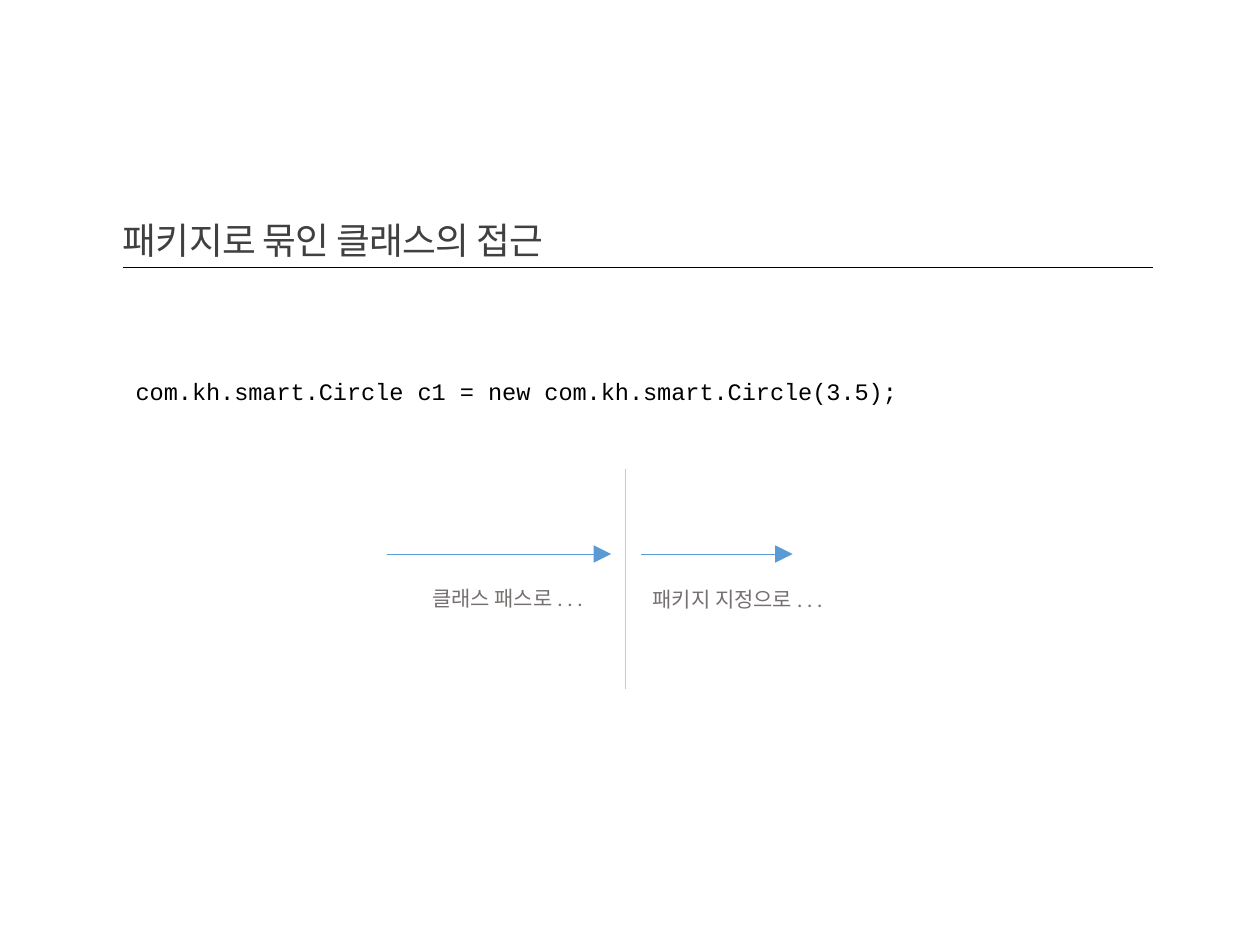
from lxml import etree
from pptx import Presentation
from pptx.dml.color import RGBColor
from pptx.enum import shapes, text
from pptx.oxml.ns import qn
from pptx.util import Pt

COLORS = {
    "title": "404040",
    "code": "000000",
    "rule": "000000",
    "divider": "C9C9C9",
    "arrow": "5B9BD5",
    "label": "767171",
}


class SlideBuilder:
    body_font = "Calibri"
    code_font = "Courier New"
    line_width = 0.5

    def __init__(self, slide):
        self.slide = slide

    def text_box(self, content, box, size, color, font=body_font, spacing=None,
                 anchor=text.MSO_ANCHOR.TOP, margins=(7.2, 3.6), tracking=None):
        """Margins are (sides, top and bottom); tracking is in hundredths of a point."""
        shape = self.slide.shapes.add_textbox(*map(Pt, box))
        frame = shape.text_frame
        frame.word_wrap = True
        frame.vertical_anchor = anchor
        frame.margin_left = frame.margin_right = Pt(margins[0])
        frame.margin_top = frame.margin_bottom = Pt(margins[1])
        paragraph = frame.paragraphs[0]
        if spacing:
            paragraph.line_spacing = spacing
        run = paragraph.add_run()
        run.text = content
        run.font.name = font
        run.font.size = Pt(size)
        run.font.color.rgb = RGBColor.from_string(COLORS[color])
        if tracking:
            run.font._element.set("spc", str(tracking))

    def line(self, start, end, color):
        connector = self.slide.shapes.add_connector(
            shapes.MSO_CONNECTOR.STRAIGHT, *map(Pt, (*start, *end)))
        connector.line.width = Pt(self.line_width)
        connector.line.color.rgb = RGBColor.from_string(COLORS[color])
        etree.SubElement(connector._element.spPr, qn("a:effectLst"))
        return connector

    def arrow(self, start, end):
        connector = self.line(start, end, "arrow")
        etree.SubElement(connector.line._get_or_add_ln(), qn("a:tailEnd"),
                         type="triangle", w="lg", len="lg")


def main():
    presentation = Presentation()
    presentation.slide_width, presentation.slide_height = Pt(720), Pt(540)
    builder = SlideBuilder(presentation.slides.add_slide(presentation.slide_layouts[6]))

    builder.text_box("패키지로 묶인 클래스의 접근", (64.8, 84.2, 594, 68.4), 21, "title",
                     spacing=0.85, anchor=text.MSO_ANCHOR.BOTTOM,
                     margins=(5.4, 2.7), tracking=-40)
    builder.line((70.4, 153), (658.8, 153), "rule")
    builder.text_box("com.kh.smart.Circle c1 = new com.kh.smart.Circle(3.5);",
                     (70.4, 211.7, 469.4, 23.8), 13.5, "code", font=builder.code_font)

    builder.line((357.4, 268), (357.4, 393.8), "divider")
    arrow_y = 316.6
    steps = [
        ("클래스 패스로 . . .", 239.8, 316.8, 221, 349.2),
        ("패키지 지정으로 . . .", 365.8, 317.4, 366.4, 452.9),
    ]
    for label, left, top, arrow_start, arrow_end in steps:
        builder.arrow((arrow_start, arrow_y), (arrow_end, arrow_y))
        builder.text_box(label, (left, top, 117.4, 32.4), 12, "label", spacing=2)

    presentation.save("out.pptx")


if __name__ == "__main__":
    main()
